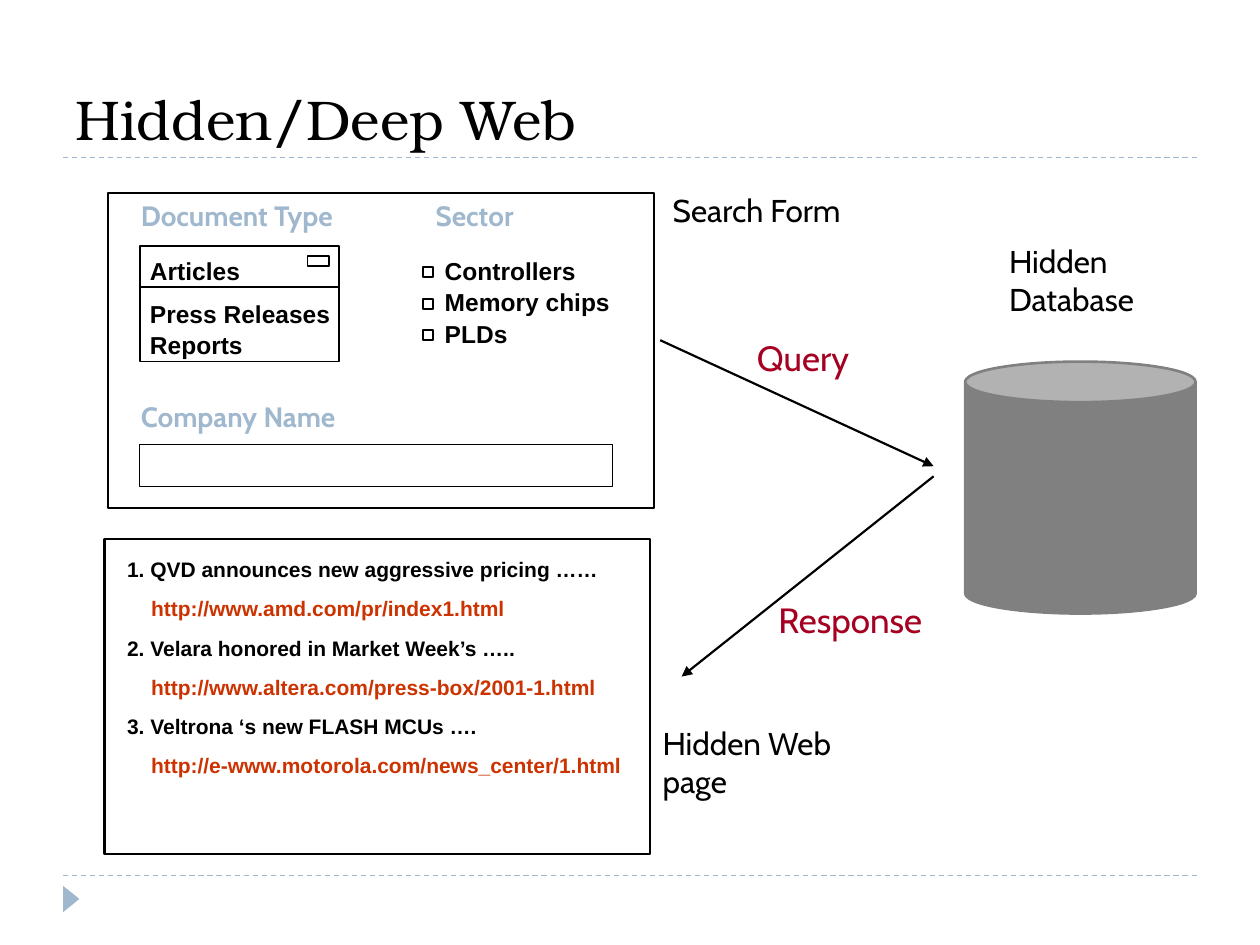
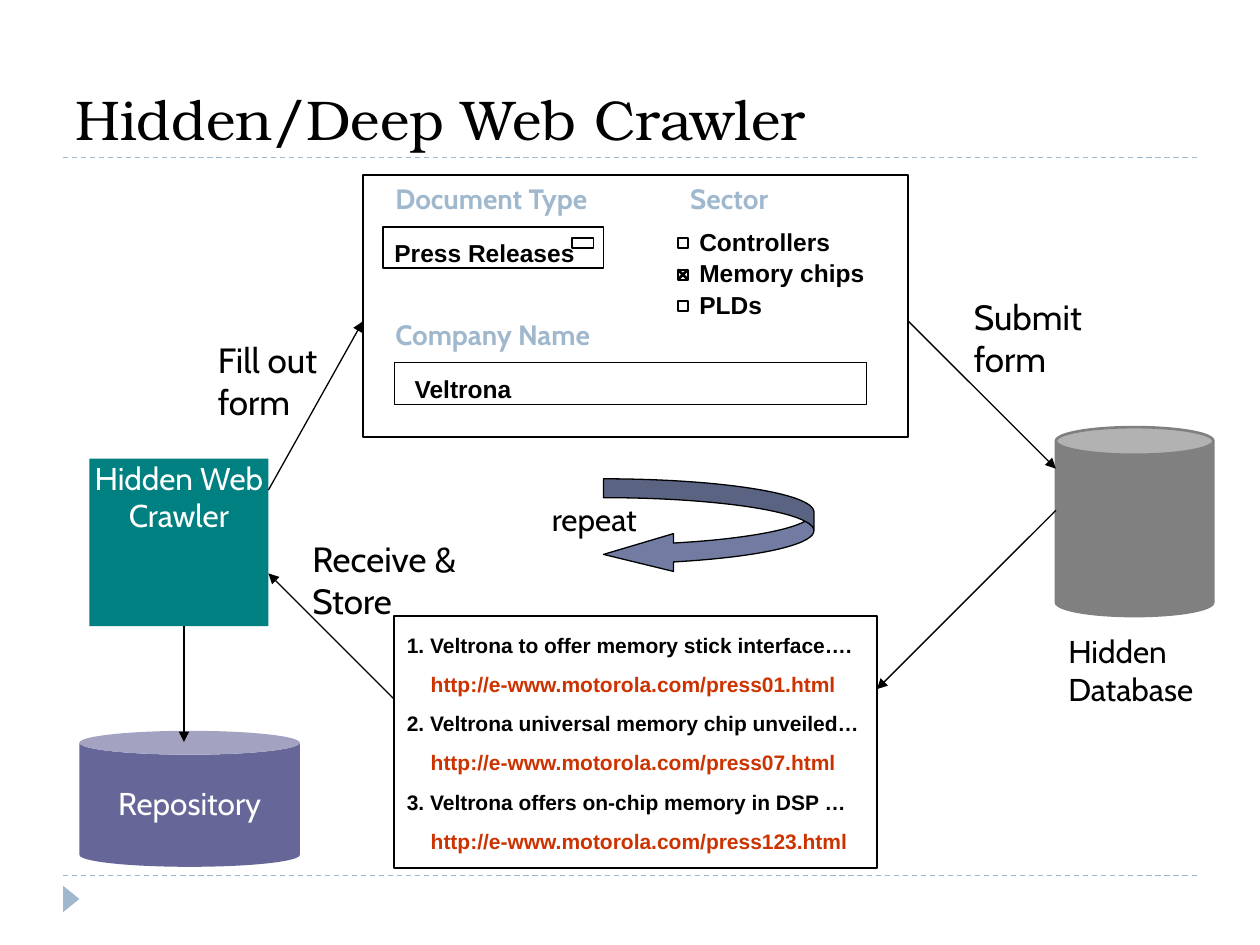
from dataclasses import dataclass, replace

from lxml import etree
from pptx import Presentation
from pptx import util as u
from pptx.dml.color import RGBColor
from pptx.enum import dml, shapes, text
from pptx.oxml.ns import qn


@dataclass(frozen=True)
class Style:
    font: str
    size: int
    color: str
    bold: bool = False
    indent: float = 0


class Theme:
    black, white = "000000", "FFFFFF"
    accent, gray = "9FB8CD", "808080"
    teal, purple, slate = "008080", "666699", "727CA3"
    title = Style("TeX Gyre Bonum", 32, black)
    heading = Style("Cabin", 16, accent, bold=True)
    note = Style("Cabin", 18, black)
    note_white = replace(note, color=white)
    step = Style("Cabin", 20, black)
    message = replace(step, color="A50021")
    entry = Style("Arial", 14, black, bold=True)
    hit = Style("Arial", 12, black, bold=True)
    link = replace(hit, color="CC3300", indent=0.19)
    hit_gap = 8


RECT = shapes.MSO_SHAPE.RECTANGLE
CAN = shapes.MSO_SHAPE.CAN


def box(s, at, kind=RECT, fill=None, line=None, width=1.25):
    sp = s.shapes.add_shape(kind, *map(u.Inches, at))
    sp.shadow.inherit = False
    if fill:
        sp.fill.solid()
        sp.fill.fore_color.rgb = RGBColor.from_string(fill)
    else:
        sp.fill.background()
    if line:
        sp.line.color.rgb = RGBColor.from_string(line)
        sp.line.width = u.Pt(width)
    else:
        sp.line.fill.background()
    return sp


def write(s, at, *lines, padded=True, align=text.PP_ALIGN.LEFT, anchor=text.MSO_ANCHOR.TOP):
    """Add a text box with one paragraph for each (words, style) pair."""
    tf = s.shapes.add_textbox(*map(u.Inches, at)).text_frame
    tf.word_wrap = True
    tf.vertical_anchor = anchor
    tf.margin_left = tf.margin_right = u.Inches(0.1 if padded else 0)
    tf.margin_top = tf.margin_bottom = u.Inches(0.05 if padded else 0)
    for i, (words, style) in enumerate(lines):
        p = tf.add_paragraph() if i else tf.paragraphs[0]
        p.alignment = align
        if i:
            p.space_before = u.Pt(Theme.hit_gap)
        if style.indent:
            p._p.get_or_add_pPr().set("marL", str(u.Inches(style.indent)))
        r = p.add_run()
        r.text = words
        r.font.name, r.font.size, r.font.bold = style.font, u.Pt(style.size), style.bold
        r.font.color.rgb = RGBColor.from_string(style.color)


prs = Presentation()
prs.slide_width, prs.slide_height = u.Inches(10), u.Inches(7.5)
blank = prs.slide_layouts[6]
search, crawl = [prs.slides.add_slide(blank) for _ in range(2)]

# Title and corner marker
for s, title in ((search, "Hidden/Deep Web"), (crawl, "Hidden/Deep Web Crawler")):
    write(s, (0.5, 0.17, 9, 1.08), (title, Theme.title), anchor=text.MSO_ANCHOR.BOTTOM)
    marker = box(s, (0.46, 7.07, 0.21, 0.13), shapes.MSO_SHAPE.ISOSCELES_TRIANGLE, Theme.accent)
    marker.rotation = 90

# Search forms: slide, left, top, height, drop to the options, drop to the company name
forms = [
    (search, 0.86, 1.53, 2.5, 0.5, 1.59),
    (crawl, 2.88, 1.39, 2.08, 0.41, 1.08),
]
for s, x, y, height, options_drop, company_drop in forms:
    box(s, (x, y, 4.33, height), line=Theme.black)
    for words, dx, dy, width in (
        ("Document Type", 0.16, 0, 2),
        ("Sector", 2.5, 0, 1.83),
        ("Company Name", 0.16, company_drop, 2.17),
    ):
        write(s, (x + dx, y + dy, width, 0.37), (words, Theme.heading))
    box(s, (x + 0.25, y + company_drop + 0.41, 3.75, 0.33), line=Theme.black, width=0.75)
    for i, sector in enumerate(("Controllers", "Memory chips", "PLDs")):
        top = y + options_drop + 0.25 * i
        write(s, (x + 2.67, top, 1.5, 0.23), (sector, Theme.entry), padded=False)
        box(s, (x + 2.5, top + 0.09, 0.08, 0.08), line=Theme.black)

# Document type lists and the filled-in company
for s, frame, button in (
    (search, (1.11, 1.95, 1.58, 0.92), (2.44, 2.03)),
    (crawl, (3.04, 1.8, 1.75, 0.33), (4.54, 1.89)),
):
    box(s, frame, line=Theme.black, width=1)
    box(s, (*button, 0.17, 0.08), line=Theme.black, width=1)
for s, words, x, y in (
    (search, "Articles", 1.19, 2.03),
    (search, "Press Releases", 1.19, 2.37),
    (search, "Reports", 1.19, 2.62),
    (crawl, "Press Releases", 3.13, 1.89),
    (crawl, "Veltrona", 3.29, 2.97),
):
    write(s, (x, y, 1.58, 0.23), (words, Theme.entry), padded=False)

# Result pages
results = [
    (search, (0.83, 4.28, 4.33, 2.5), (0.91, 4.37, 4.25, 2.13), [
        ("1. QVD announces new aggressive pricing ……", "http://www.amd.com/pr/index1.html"),
        ("2. Velara honored in Market Week’s …..", "http://www.altera.com/press-box/2001-1.html"),
        ("3. Veltrona ‘s new FLASH MCUs ….", "http://e-www.motorola.com/news_center/1.html"),
    ]),
    (crawl, (3.13, 4.89, 3.83, 2), (3.13, 4.97, 4.25, 1.82), [
        ("1. Veltrona to offer memory stick interface….", "http://e-www.motorola.com/press01.html"),
        ("2. Veltrona universal memory chip unveiled…", "http://e-www.motorola.com/press07.html"),
        ("3. Veltrona offers on-chip memory in DSP …", "http://e-www.motorola.com/press123.html"),
    ]),
]
for s, frame, area, hits in results:
    box(s, frame, line=Theme.black)
    lines = [pair for hit, url in hits for pair in ((hit, Theme.hit), (url, Theme.link))]
    write(s, area, *lines)

# Databases, crawler and loop arrow
for s, at, fill, line in (
    (search, (7.66, 2.87, 1.83, 2), Theme.gray, Theme.gray),
    (crawl, (8.38, 3.39, 1.25, 1.5), Theme.gray, Theme.gray),
    (crawl, (0.63, 5.8, 1.75, 1.08), Theme.purple, None),
):
    can = box(s, at, CAN, fill, line, 1.5)
    can.adjustments[0] = 0.176
box(crawl, (0.71, 3.64, 1.42, 1.33), fill=Theme.teal)
loop = box(crawl, (4.79, 3.8, 1.67, 0.75), shapes.MSO_SHAPE.CURVED_LEFT_ARROW,
           Theme.slate, Theme.black, 0.75)
for i, share in enumerate((0.2, 0.4, 0.74)):
    loop.adjustments[i] = share

# Labels
for s, words, style, at in (
    (search, "Search Form", Theme.note, (5.24, 1.47, 1.75, 0.4)),
    (search, "Hidden Database", Theme.note, (7.91, 1.87, 1.58, 0.7)),
    (search, "Hidden Web page", Theme.note, (5.16, 5.7, 1.75, 0.7)),
    (search, "Query", Theme.message, (5.91, 2.62, 1, 0.77)),
    (search, "Response", Theme.message, (6.08, 4.7, 1.42, 0.77)),
    (crawl, "Hidden Database", Theme.note, (8.38, 4.97, 1.58, 0.7)),
    (crawl, "Fill out form", Theme.step, (1.63, 2.64, 1.08, 0.77)),
    (crawl, "Submit form", Theme.step, (7.63, 2.3, 1.08, 0.77)),
    (crawl, "Receive & Store", Theme.step, (2.38, 4.22, 1.58, 0.77)),
):
    write(s, at, (words, style))
for words, style, at, align in (
    ("repeat", Theme.note, (4.38, 3.97, 0.83, 0.3), text.PP_ALIGN.LEFT),
    ("Hidden Web Crawler", Theme.note_white, (0.71, 3.64, 1.42, 1.33), text.PP_ALIGN.CENTER),
    ("Repository", Theme.note_white, (0.63, 6.22, 1.75, 0.42), text.PP_ALIGN.CENTER),
):
    write(crawl, at, (words, style), padded=False, align=align)

# Rules, list divider, check mark and arrows: slide, from and to, colour, width, ending
rules = [(s, (0.5, y, 9.5, y), Theme.accent, 0.75, "dash")
         for s in (search, crawl) for y in (1.25, 6.95)]
plain = [
    (search, (1.11, 2.28, 2.69, 2.28), Theme.black, 1, None),
    (crawl, (5.38, 2.14, 5.46, 2.22), Theme.black, 1.5, None),
    (crawl, (5.38, 2.22, 5.46, 2.14), Theme.black, 1.5, None),
]
arrows = [(s, ends, Theme.black, width, "arrow") for s, width, ends in (
    (search, 1.25, (5.24, 2.7, 7.41, 3.7)),
    (search, 1.25, (7.41, 3.78, 5.41, 5.37)),
    (crawl, 0.75, (2.13, 3.89, 2.88, 2.55)),
    (crawl, 0.75, (7.21, 2.55, 8.38, 3.72)),
    (crawl, 0.75, (8.38, 4.05, 6.96, 5.47)),
    (crawl, 0.75, (3.13, 5.55, 2.13, 4.55)),
    (crawl, 0.75, (1.46, 4.97, 1.46, 5.89)),
)]
for s, ends, color, width, look in rules + plain + arrows:
    cx = s.shapes.add_connector(shapes.MSO_CONNECTOR.STRAIGHT, *map(u.Inches, ends))
    cx.line.color.rgb = RGBColor.from_string(color)
    cx.line.width = u.Pt(width)
    if look == "dash":
        cx.line.dash_style = dml.MSO_LINE.DASH
    elif look == "arrow":
        etree.SubElement(cx.line._get_or_add_ln(), qn("a:tailEnd"), type="triangle")
    etree.SubElement(cx._element.spPr, qn("a:effectLst"))

prs.save("out.pptx")
